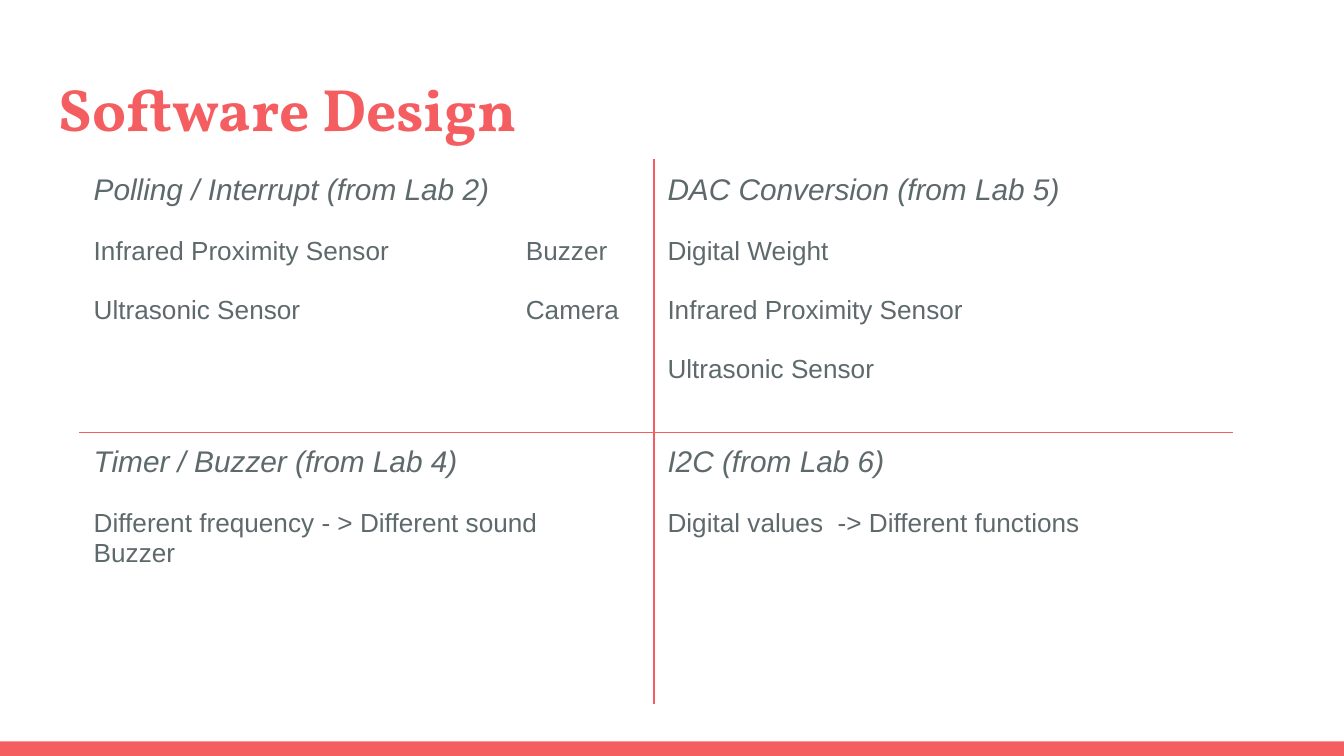
from dataclasses import dataclass

import pptx
import pptx.dml.color
import pptx.enum.shapes
import pptx.enum.text
import pptx.oxml
import pptx.oxml.ns
import pptx.util

Pt = pptx.util.Pt
INKS = {"coral": "F55E61", "slate": "5E696C"}
INSET = Pt(7.2)
TAB = Pt(231.5)


@dataclass
class Topic:
    head: str
    lines: list[str]
    gap: float = 16


TOPICS = [
    [
        Topic("Polling / Interrupt (from Lab 2)",
              ["Infrared Proximity Sensor\tBuzzer", "Ultrasonic Sensor\tCamera"]),
        Topic("DAC Conversion (from Lab 5)",
              ["Digital Weight", "Infrared Proximity Sensor", "Ultrasonic Sensor"]),
    ],
    [
        Topic("Timer / Buzzer (from Lab 4)",
              ["Different frequency - > Different sound", "Buzzer"], 0),
        Topic("I2C (from Lab 6)", ["Digital values  -> Different functions"]),
    ],
]


def paint(name: str) -> pptx.dml.color.RGBColor:
    return pptx.dml.color.RGBColor.from_string(INKS[name])


def style(para, face: str, size: float, ink: str) -> None:
    para.font.name = face
    para.font.size = Pt(size)
    para.font.color.rgb = paint(ink)


def add_tab(para) -> None:
    props = para._p.get_or_add_pPr()
    tabs = props.makeelement(pptx.oxml.ns.qn("a:tabLst"), {})
    tab = tabs.makeelement(
        pptx.oxml.ns.qn("a:tab"), {"pos": str(int(TAB)), "algn": "l"})
    tabs.append(tab)
    props.append(tabs)


def add_edge(cell, side: str) -> None:
    cell._tc.get_or_add_tcPr().append(pptx.oxml.parse_xml(
        f'<a:ln{side} {pptx.oxml.ns.nsdecls("a")} w="{int(Pt(1))}">'
        f'<a:solidFill><a:srgbClr val="{INKS["coral"]}"/></a:solidFill>'
        f'</a:ln{side}>'))


def fill_cell(cell, topic: Topic, sides: str) -> None:
    for side in sides:
        add_edge(cell, side)
    cell.fill.background()
    cell.margin_left = cell.margin_right = INSET
    cell.margin_top = cell.margin_bottom = INSET
    frame = cell.text_frame
    para = frame.paragraphs[0]
    para.text = topic.head
    style(para, "Arial", 16, "slate")
    para.font.italic = True
    for spot, line in enumerate(topic.lines):
        para = frame.add_paragraph()
        para.text = line
        para.space_before = Pt(topic.gap if spot else 16)
        if "\t" in line:
            add_tab(para)
        style(para, "Arial", 14, "slate")


def add_title(slide, text: str) -> None:
    box = slide.shapes.add_textbox(Pt(24.5), Pt(31), Pt(671), Pt(49))
    frame = box.text_frame
    frame.word_wrap = True
    frame.vertical_anchor = pptx.enum.text.MSO_ANCHOR.TOP
    frame.margin_left = frame.margin_right = INSET
    frame.margin_top = frame.margin_bottom = INSET
    para = frame.paragraphs[0]
    para.text = text
    style(para, "Vollkorn", 32, "coral")
    para.font.bold = True


def add_bar(slide) -> None:
    bar = slide.shapes.add_shape(
        pptx.enum.shapes.MSO_SHAPE.RECTANGLE, 0, Pt(397.2), Pt(720), Pt(7.8))
    bar.shadow.inherit = False
    bar.fill.solid()
    bar.fill.fore_color.rgb = paint("coral")
    bar.line.fill.background()


def add_grid(slide) -> None:
    grid = slide.shapes.add_table(
        2, 2, Pt(43), Pt(85.8), Pt(617), Pt(292)).table
    grid.first_row = grid.horz_banding = False
    for col, width in zip(grid.columns, (307.4, 309.6)):
        col.width = Pt(width)
    for row, topics in enumerate(TOPICS):
        for col, topic in enumerate(topics):
            fill_cell(grid.cell(row, col), topic, "RL"[col] + "BT"[row])


def main() -> None:
    deck = pptx.Presentation()
    deck.slide_width, deck.slide_height = Pt(720), Pt(405)
    slide = deck.slides.add_slide(deck.slide_layouts[6])
    add_bar(slide)
    add_title(slide, "Software Design")
    add_grid(slide)
    deck.save("out.pptx")


if __name__ == "__main__":
    main()
